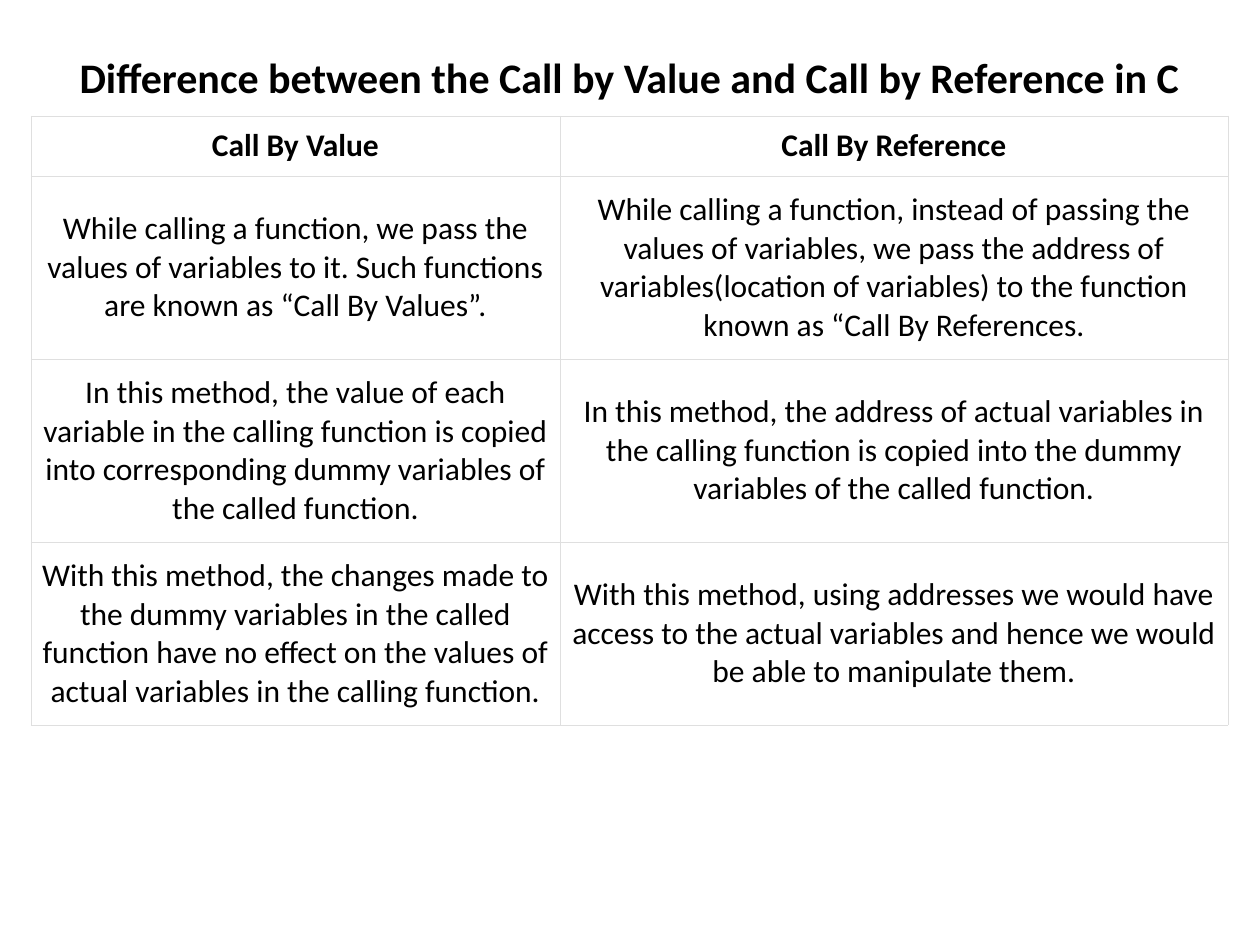
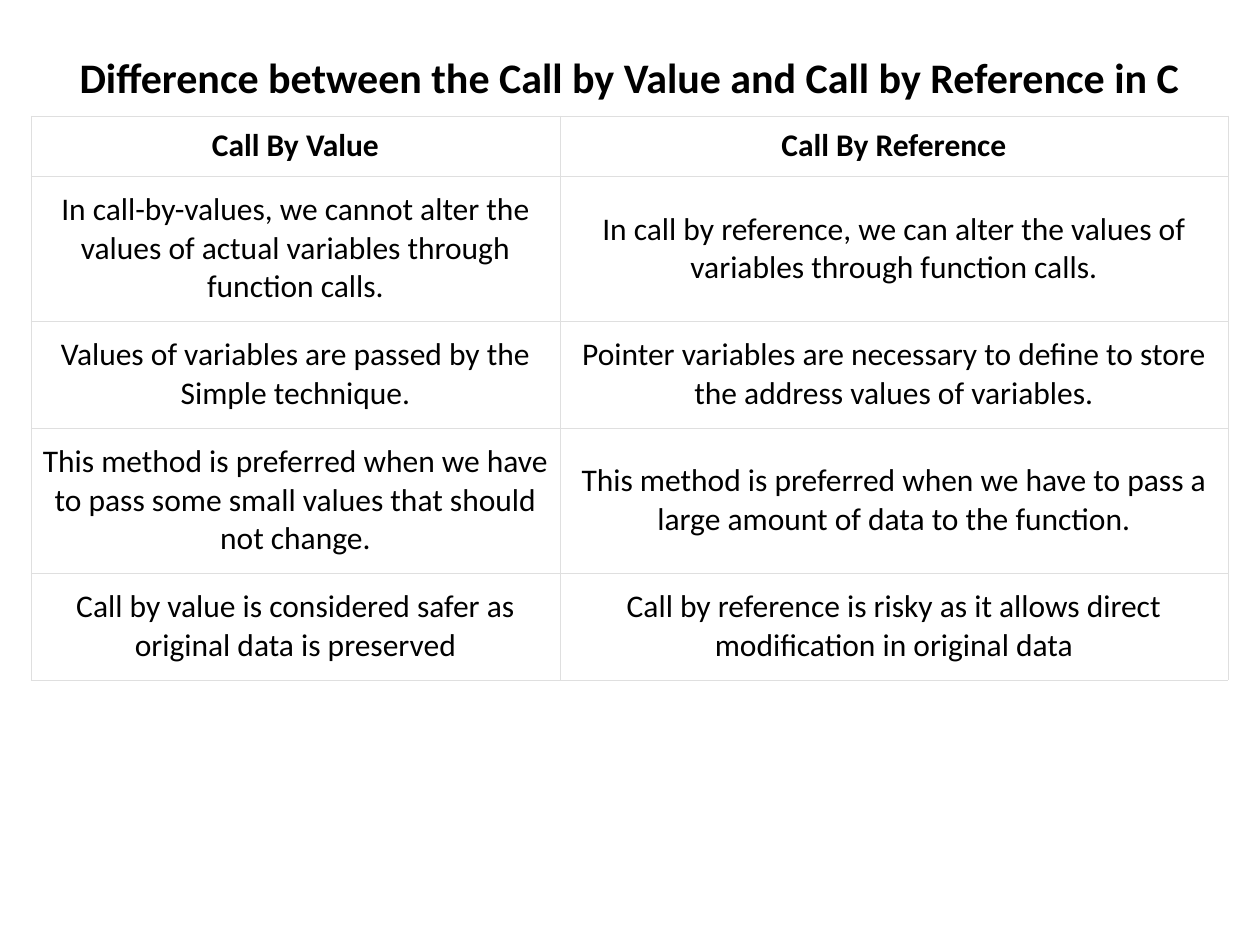
from lxml import etree
from pptx import Presentation
from pptx import util as u
from pptx.dml.color import RGBColor
from pptx.enum import text
from pptx.oxml import ns

PX = 914400 / 126
FONT, INK, PAPER, RULE = "Calibri", "000000", "FFFFFF", "DFDFDF"
TITLE = "Difference between the Call by Value and Call by Reference in C"
HEADS = ("Call By Value", "Call By Reference")
LEFT, TOP, COLS = 31, 116, (529, 668)
HEAD_H, LINE_H, PAD = 60, 38, 31

# Each row: lines of text in its taller cell, then the two cells
pages = [
    [
        (4, "While calling a function, we pass the values of variables to it. "
            "Such functions are known as “Call By Values”.",
            "While calling a function, instead of passing the values of variables, "
            "we pass the address of variables(location of variables) to the function "
            "known as “Call By References."),
        (4, "In this method, the value of each variable in the calling function is "
            "copied into corresponding dummy variables of the called function.",
            "In this method, the address of actual variables in the calling function "
            "is copied into the dummy variables of the called function."),
        (4, "With this method, the changes made to the dummy variables in the called "
            "function have no effect on the values of actual variables in the calling "
            "function.",
            "With this method, using addresses we would have access to the actual "
            "variables and hence we would be able to manipulate them."),
    ],
    [
        (3, "In call-by-values, we cannot alter the values of actual variables "
            "through function calls.",
            "In call by reference, we can alter the values of variables through "
            "function calls."),
        (2, "Values of variables are passed by the Simple technique.",
            "Pointer variables are necessary to define to store the address values "
            "of variables."),
        (3, "This method is preferred when we have to pass some small values that "
            "should not change.",
            "This method is preferred when we have to pass a large amount of data to "
            "the function."),
        (2, "Call by value is considered safer as original data is preserved",
            "Call by reference is risky as it allows direct modification in original "
            "data"),
    ],
]


def write(frame, words, size=18, bold=False, color=INK):
    frame.word_wrap = True
    para = frame.paragraphs[0]
    para.alignment = text.PP_ALIGN.CENTER
    run = para.add_run()
    run.text = words
    run.font.name, run.font.size, run.font.bold = FONT, u.Pt(size), bold
    run.font.color.rgb = RGBColor.from_string(color)


def edge(cell):
    """Fill the cell and rule all four of its sides."""
    cell.fill.solid()
    cell.fill.fore_color.rgb = RGBColor.from_string(PAPER)
    props = cell._tc.get_or_add_tcPr()
    for i, side in enumerate("LRTB"):
        line = etree.Element(ns.qn(f"a:ln{side}"), w=str(u.Pt(0.23)))
        fill = etree.SubElement(line, ns.qn("a:solidFill"))
        etree.SubElement(fill, ns.qn("a:srgbClr"), val=RULE)
        props.insert(i, line)


deck = Presentation()
deck.slide_width, deck.slide_height = u.Inches(10), u.Inches(7.5)

for page in pages:
    slide = deck.slides.add_slide(deck.slide_layouts[6])
    spot = [int(n * PX) for n in (LEFT, 46, sum(COLS), 62)]
    title = slide.shapes.add_textbox(*spot).text_frame
    title.vertical_anchor = text.MSO_ANCHOR.MIDDLE
    write(title, TITLE, size=24, bold=True)

    highs = [HEAD_H] + [LINE_H * row[0] + PAD for row in page]
    spot = [int(n * PX) for n in (LEFT, TOP, sum(COLS), sum(highs))]
    table = slide.shapes.add_table(len(highs), len(COLS), *spot).table
    table.first_row = table.horz_banding = False
    for col, wide in zip(table.columns, COLS):
        col.width = int(wide * PX)
    for row, high in zip(table.rows, highs):
        row.height = int(high * PX)

    for r, row in enumerate([HEADS] + [row[1:] for row in page]):
        for c, words in enumerate(row):
            cell = table.cell(r, c)
            cell.vertical_anchor = text.MSO_ANCHOR.MIDDLE
            cell.margin_left = cell.margin_right = int((11 if r or c else 4) * PX)
            cell.margin_top = cell.margin_bottom = int((15 if r else 11) * PX)
            edge(cell)
            write(cell.text_frame, words, bold=r == 0)

deck.save("out.pptx")
